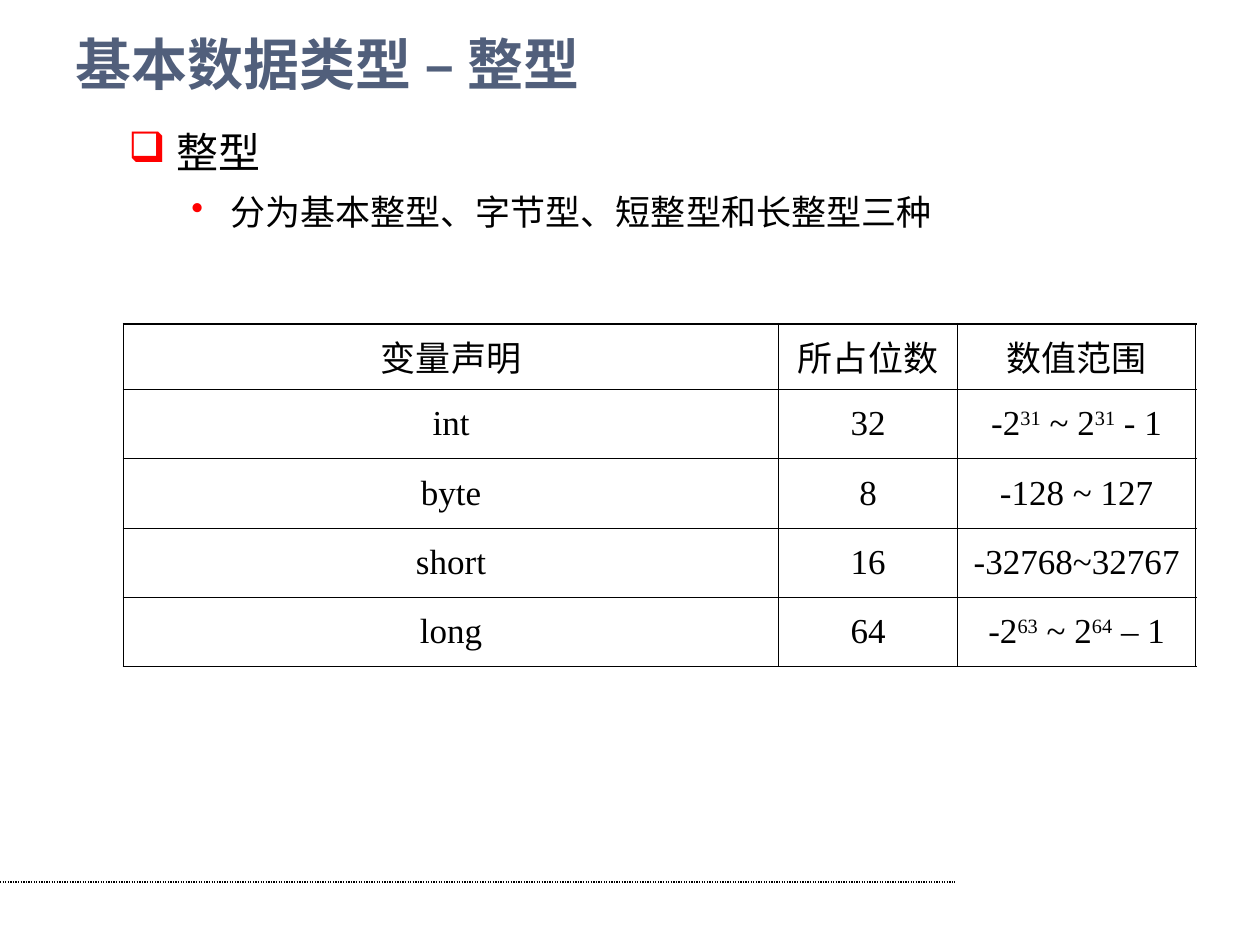
import pptx
import pptx.dml.color
import pptx.enum.dml
import pptx.enum.shapes
import pptx.enum.text
import pptx.oxml
import pptx.oxml.ns
import pptx.util
from lxml import etree
from pptx.util import Inches

qn = pptx.oxml.ns.qn
RGB = pptx.dml.color.RGBColor.from_string
PP = pptx.enum.text.PP_ALIGN
MIDDLE = pptx.enum.text.MSO_ANCHOR.MIDDLE
COLORS = {"title": "515F7B", "text": "000000", "bullet": "FF0000",
          "back_top": "FFFFFF", "back_bottom": "FEFEFE"}
CJK, LATIN = "Noto Sans CJK SC", "Times New Roman"


def add_run(p, text, size, color="text", latin=LATIN, bold=False, raised=False):
    r = p.add_run()
    r.text = text
    formats = {"size": pptx.util.Pt(size), "bold": bold, "name": latin}
    for name, value in formats.items():
        setattr(r.font, name, value)
    r.font.color.rgb = RGB(COLORS[color])
    rPr = r.font._element
    etree.SubElement(rPr, qn("a:ea")).set("typeface", CJK)
    if raised:
        rPr.set("baseline", "30000")


def set_border(cell, side, width):
    """Draw one cell side (L, R, T or B) in black, width in points."""
    ln = etree.SubElement(cell._tc.get_or_add_tcPr(), qn("a:ln" + side))
    ln.set("w", str(int(pptx.util.Pt(width))))
    fill = etree.SubElement(ln, qn("a:solidFill"))
    etree.SubElement(fill, qn("a:srgbClr")).set("val", COLORS["text"])


prs = pptx.Presentation()
prs.slide_width, prs.slide_height = Inches(10), Inches(7.5)
s = prs.slides.add_slide(prs.slide_layouts[5])

back = s.background.fill
back.gradient()
back.gradient_angle = 270
for stop, name in zip(back.gradient_stops, ("back_top", "back_bottom")):
    stop.color.rgb = RGB(COLORS[name])

# Footer rule
rule = s.shapes.add_connector(pptx.enum.shapes.MSO_CONNECTOR.STRAIGHT,
                              Inches(0), Inches(7), Inches(7.58), Inches(7))
rule.line.color.rgb = RGB(COLORS["text"])
rule.line.width = pptx.util.Pt(0.75)
rule.line.dash_style = pptx.enum.dml.MSO_LINE.ROUND_DOT
etree.SubElement(rule._element.spPr, qn("a:effectLst"))

# Title
title = s.shapes.title
place = {"left": 0.5, "top": 0.25, "width": 9.05, "height": 0.5}
for name, value in place.items():
    setattr(title, name, Inches(value))
tf = title.text_frame
tf.vertical_anchor = MIDDLE
tf.auto_size = pptx.enum.text.MSO_AUTO_SIZE.NONE
p = tf.paragraphs[0]
p.alignment = PP.LEFT
add_run(p, "基本数据类型 – 整型", 32, "title", CJK, bold=True)

# Bulleted text
body = s.shapes.add_textbox(Inches(0.92), Inches(1), Inches(8.5), Inches(1.1))
tf = body.text_frame
tf.word_wrap = True
points = [  # text, size, level, bullet, left margin, indent, space before
    ("整型", 24, 0, "❑", 0.38, -0.38, 15),
    ("分为基本整型、字节型、短整型和长整型三种", 20, 1, "•", 0.81, -0.31, 10),
]
for i, (text, size, level, bullet, margin, indent, before) in enumerate(points):
    p = tf.add_paragraph() if i else tf.paragraphs[0]
    p.level = level
    p.line_spacing = 0.9
    p.space_before = pptx.util.Pt(before)
    pPr = p._p.get_or_add_pPr()
    pPr.set("marL", str(int(Inches(margin))))
    pPr.set("indent", str(int(Inches(indent))))
    color = etree.SubElement(pPr, qn("a:buClr"))
    etree.SubElement(color, qn("a:srgbClr")).set("val", COLORS["bullet"])
    etree.SubElement(pPr, qn("a:buChar")).set("char", bullet)
    add_run(p, text, size)

# Table of integer types; "^" toggles superscript
rows = [
    ("变量声明", "所占位数", "数值范围"),
    ("int", "32", "-2^31^ ~ 2^31^ - 1"),
    ("byte", "8", "-128 ~ 127"),
    ("short", "16", "-32768~32767"),
    ("long", "64", "-2^63^ ~ 2^64^ – 1"),
]
widths = [5.2, 1.42, 1.89]
heights = [0.52] + [0.55] * 4
table = s.shapes.add_table(len(rows), len(widths), Inches(0.98), Inches(2.57),
                           Inches(sum(widths)), Inches(sum(heights))).table
table.first_row = table.horz_banding = False
for column, width in zip(table.columns, widths):
    column.width = Inches(width)
for row, height in zip(table.rows, heights):
    row.height = Inches(height)

for i, row in enumerate(rows):
    for j, text in enumerate(row):
        cell = table.cell(i, j)
        cell.vertical_anchor = MIDDLE
        outer = {"L": j == 0, "R": j == len(row) - 1,
                 "T": i == 0, "B": i == len(rows) - 1}
        for side, is_outer in outer.items():
            set_border(cell, side, 1.08 if is_outer else 0.45)
        cell.fill.background()
        p = cell.text_frame.paragraphs[0]
        p.alignment = PP.CENTER
        for k, part in enumerate(text.split("^")):
            add_run(p, part, 20, raised=k % 2 == 1)

prs.save("out.pptx")
